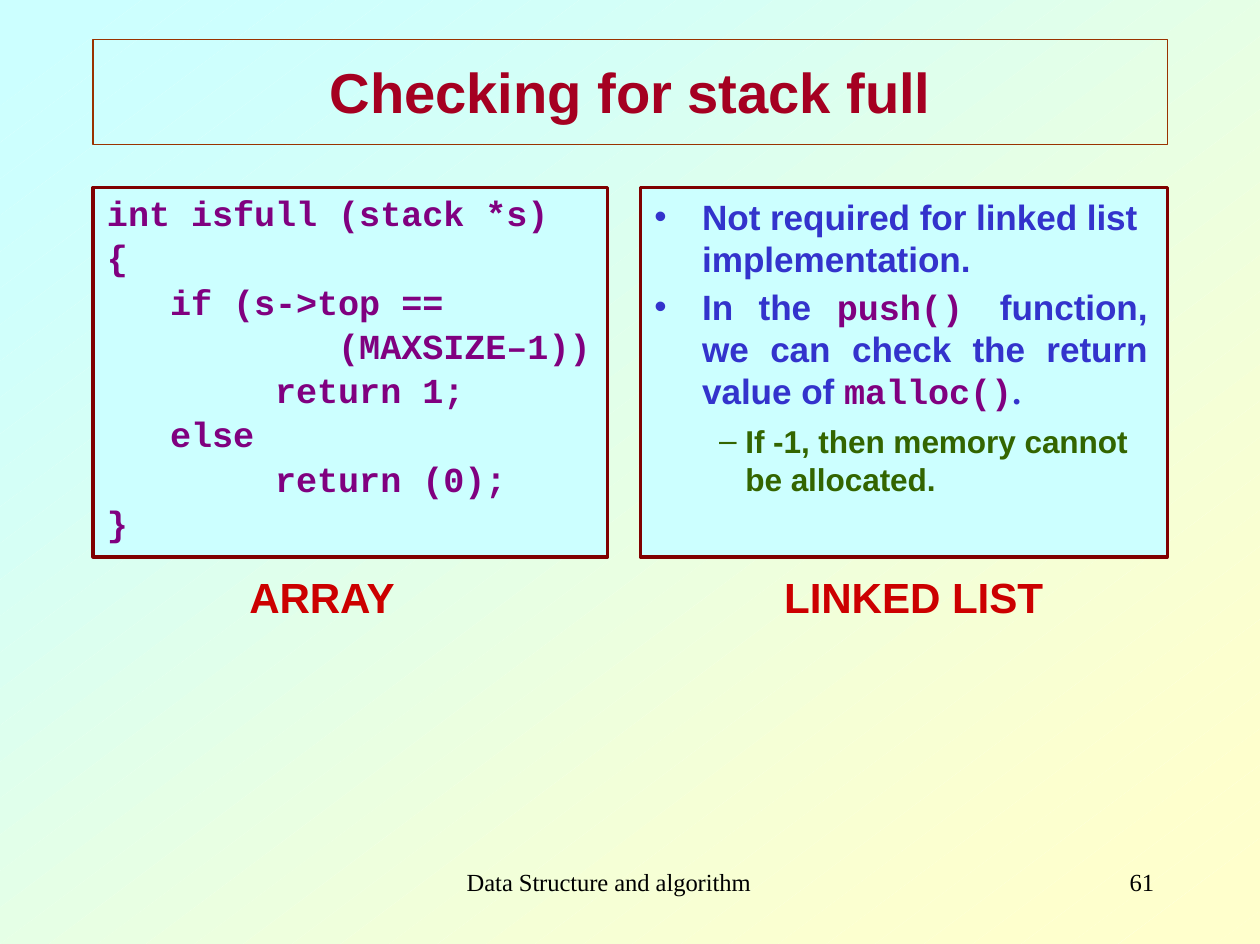
"""Build the slide that compares checking for a full stack in an array and a linked list."""
import math

import pptx
import pptx.dml.color
import pptx.enum.text
import pptx.oxml.ns
import pptx.util

Cm, Pt = pptx.util.Cm, pptx.util.Pt
ALIGN = pptx.enum.text.PP_ALIGN
WIDTH, HEIGHT = 25.32, 18.97

TITLE = {"name": "Arial", "size": Pt(32), "bold": True, "color": "A50021"}
CODE = {"name": "Courier New", "size": Pt(20), "bold": True, "color": "800080"}
ITEM = {"name": "Arial", "size": Pt(20), "bold": True, "color": "3333CC"}
SUBITEM = {"name": "Arial", "size": Pt(18), "bold": True, "color": "336500"}
LABEL = {"name": "Arial", "size": Pt(24), "bold": True, "color": "CC0000"}
FOOTER = {"name": "Times New Roman", "size": Pt(14), "bold": False, "color": "000000"}


def rgb(value):
    return pptx.dml.color.RGBColor.from_string(value)


def add_run(p, text, fmt):
    r = p.add_run()
    r.text = text
    for key, value in fmt.items():
        if key == "color":
            r.font.color.rgb = rgb(value)
        else:
            setattr(r.font, key, value)
    r.font._element.set("spc", "-5")


prs = pptx.Presentation()
prs.slide_width, prs.slide_height = Cm(WIDTH), Cm(HEIGHT)
s = prs.slides.add_slide(prs.slide_layouts[3])
title, code, notes = s.placeholders

slope = HEIGHT / WIDTH
steps = [*range(2, 49), 50]
edges = [0, *(WIDTH + (step - 25) * 0.977 for step in steps), 2 * WIDTH]
for start, end in zip(edges, edges[1:]):
    corners = []
    for edge, order in ((start, 1), (end, -1)):
        over = max(edge - WIDTH, 0)
        upper = (min(edge, WIDTH), over * slope)
        lower = (over, min(edge, WIDTH) * slope)
        corners += [upper, lower][::order]
    points = [(Cm(x), Cm(y)) for x, y in corners]
    builder = s.shapes.build_freeform(*points[0])
    builder.add_line_segments(points[1:], close=True)
    sp = builder.convert_to_shape()
    share = (1 - math.cos(math.pi * (start + end) / (4 * WIDTH))) / 2
    sp.fill.solid()
    sp.fill.fore_color.rgb = rgb(f"{round(204 + 51 * share):02X}FF{round(255 - 51 * share):02X}")
    sp.line.fill.background()
    sp.shadow.inherit = False

frames = [
    (title, (1.87, 0.8, 21.59, 2.11), (0, 0.36, 0), "9A3300", 0.72),
    (code, (1.87, 3.77, 10.34, 7.42), (0.28, 0.08, 0), "800000", 1.98),
    (notes, (12.87, 3.77, 10.59, 7.42), (0, 0.15, 0.4), "800000", 1.98),
]
for sp, box, (left, top, right), line, width in frames:
    s.shapes._spTree.append(sp._element)
    sp.left, sp.top, sp.width, sp.height = map(Cm, box)
    sp.line.color.rgb = rgb(line)
    sp.line.width = Pt(width)
    tf = sp.text_frame
    tf.word_wrap = True
    tf.auto_size = pptx.enum.text.MSO_AUTO_SIZE.NONE
    tf.vertical_anchor = pptx.enum.text.MSO_ANCHOR.TOP
    tf.margin_left, tf.margin_top, tf.margin_right = Cm(left), Cm(top), Cm(right)
    tf.margin_bottom = 0
for sp in (code, notes):
    sp.fill.solid()
    sp.fill.fore_color.rgb = rgb("CCFFFF")

p = title.text_frame.paragraphs[0]
p.alignment = ALIGN.CENTER
add_run(p, "Checking for stack full", TITLE)

code_lines = [
    "int isfull (stack *s)",
    "{",
    "   if (s->top ==",
    "           (MAXSIZE–1))",
    "        return 1;",
    "   else",
    "        return (0);",
    "}",
]
tf = code.text_frame
for i, text in enumerate(code_lines):
    p = tf.add_paragraph() if i else tf.paragraphs[0]
    p.space_before = Pt(1.2 if i else 0)
    pPr = p._p.get_or_add_pPr()
    pPr.set("marL", "0")
    pPr.set("indent", "0")
    pPr.append(pPr.makeelement(pptx.oxml.ns.qn("a:buNone"), {}))
    add_run(p, text, CODE)

items = [
    (0, 0, ALIGN.LEFT, [("Not required for linked list implementation.", ITEM)]),
    (0, 3.2, ALIGN.JUSTIFY, [
        ("In the ", ITEM),
        ("push() ", CODE),
        ("function, we can check the return value of ", ITEM),
        ("malloc()", CODE),
        (".", {**ITEM, "name": "Times New Roman"}),
    ]),
    (1, 5.9, ALIGN.LEFT, [("If -1, then memory cannot be allocated.", SUBITEM)]),
]
indents = [(1.24, -0.96), (2.11, -0.53)]
tf = notes.text_frame
for i, (level, before, align, runs) in enumerate(items):
    p = tf.add_paragraph() if i else tf.paragraphs[0]
    p.level, p.alignment, p.space_before = level, align, Pt(before)
    margin, indent = indents[level]
    pPr = p._p.get_or_add_pPr()
    pPr.set("marL", str(Cm(margin)))
    pPr.set("indent", str(Cm(indent)))
    for text, fmt in runs:
        add_run(p, text, fmt)

captions = [
    ("ARRAY", (5.01, 11.48, 3.4, 1.1), LABEL),
    ("LINKED LIST", (15.76, 11.48, 5.6, 1.1), LABEL),
    ("Data Structure and algorithm", (9.38, 17.43, 6.6, 0.61), FOOTER),
    ("61", (22.7, 17.43, 0.71, 0.61), FOOTER),
]
for text, box, fmt in captions:
    tf = s.shapes.add_textbox(*map(Cm, box)).text_frame
    tf.word_wrap = True
    tf.margin_left = tf.margin_top = tf.margin_right = tf.margin_bottom = 0
    add_run(tf.paragraphs[0], text, fmt)

prs.save("out.pptx")
